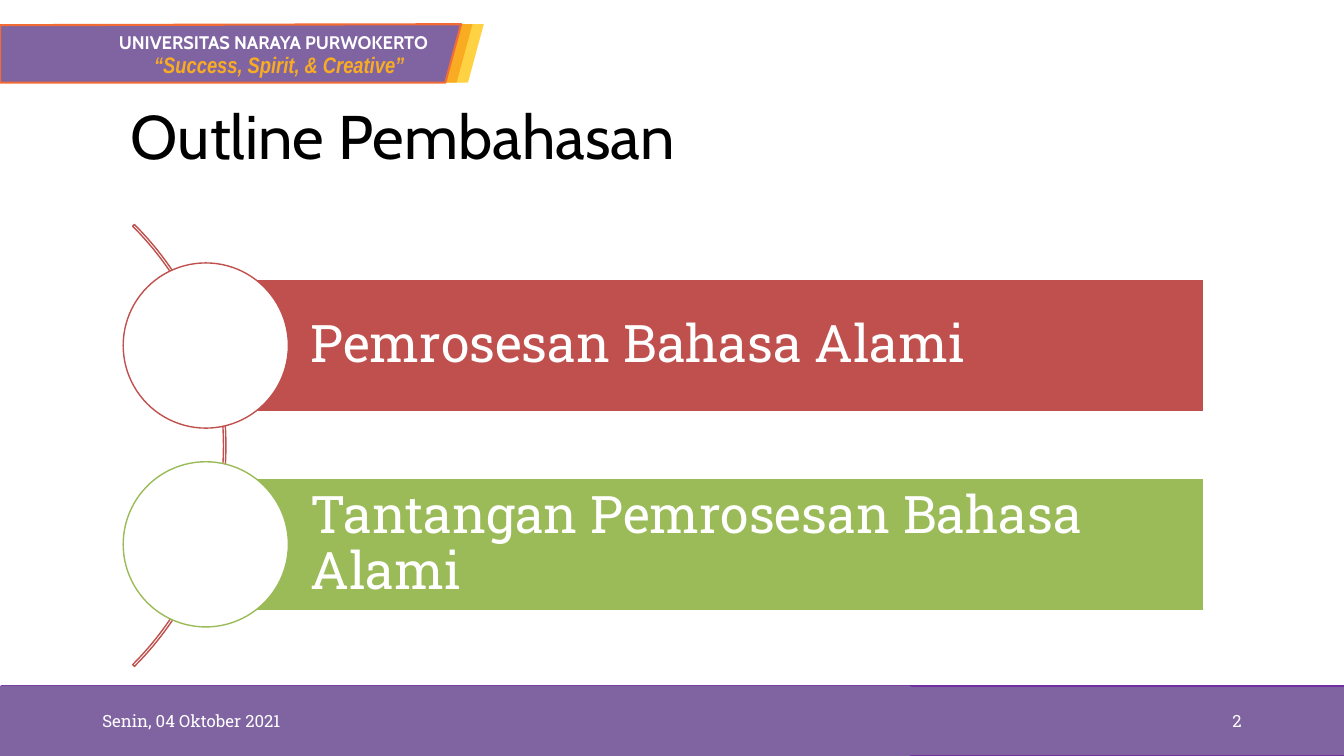
"""Build the outline slide with its ribbon header, arc list and footer."""
from lxml import etree
from pptx import Presentation
from pptx.dml.color import RGBColor
from pptx.enum import shapes, text
from pptx.oxml import ns
from pptx.util import Pt

COLORS = {
    "white": "FFFFFF", "black": "000000", "purple": "8064A2", "violet": "7030A0",
    "yellow": "FFD243", "amber": "F9AC22", "orange": "F26B34",
    "red": "C0504D", "green": "9BBB59",
}
TOPICS = [("Pemrosesan Bahasa Alami", "red"),
          ("Tantangan Pemrosesan Bahasa Alami", "green")]
RIBBONS = [(345.6, "yellow", None), (337.5, "amber", None), (329.4, "purple", "orange")]


def rgb(name):
    """Return the named colour."""
    return RGBColor.from_string(COLORS[name])


def paint(sp, fill=None, line=None, width=1):
    """Set fill and line of a shape and drop its shadow."""
    sp.shadow.inherit = False
    if fill:
        sp.fill.solid()
        sp.fill.fore_color.rgb = rgb(fill)
    else:
        sp.fill.background()
    if line:
        sp.line.color.rgb = rgb(line)
        sp.line.width = Pt(width)
    else:
        sp.line.fill.background()
    return sp


def add_preset(s, kind, box, fill=None, line=None):
    """Add a preset shape at a box given in points."""
    return paint(s.shapes.add_shape(kind, *map(Pt, box)), fill, line)


def add_outline(s, points, fill, line=None):
    """Add a closed polygon through points."""
    start, *rest = [(Pt(x), Pt(y)) for x, y in points]
    builder = s.shapes.build_freeform(*start)
    builder.add_line_segments(rest, close=True)
    return paint(builder.convert_to_shape(), fill, line, 1.5)


def write(sp, words, color, frame=None, para=None, **font):
    """Write one run into a shape with the given formats."""
    tf = sp.text_frame
    p = tf.paragraphs[0]
    r = p.add_run()
    r.text = words
    r.font.color.rgb = rgb(color)
    frame = {"word_wrap": True, **(frame or {})}
    para = {"alignment": text.PP_ALIGN.LEFT, **(para or {})}
    for target, formats in ((tf, frame), (p, para), (r.font, font)):
        for key, value in formats.items():
            setattr(target, key, value)
    return r


def add_label(s, box, words, color, **formats):
    """Add a text box with one run."""
    return write(s.shapes.add_textbox(*map(Pt, box)), words, color, **formats)


def add_text_shadow(r):
    """Give a run a soft dark shadow below it."""
    fill = r.font._element.find(ns.qn("a:solidFill"))
    effects = etree.Element(ns.qn("a:effectLst"))
    shadow = etree.SubElement(effects, ns.qn("a:outerShdw"), blurRad="38100",
                              dist="38100", dir="5400000")
    color = etree.SubElement(shadow, ns.qn("a:srgbClr"), val=COLORS["black"])
    etree.SubElement(color, ns.qn("a:alpha"), val="45000")
    fill.addnext(effects)


def add_header(s):
    """Add the layered ribbon with its name and motto."""
    for right, fill, line in RIBBONS:
        add_outline(s, [(0, 18), (right, 17.3), (right - 11.3, 59), (0, 59)], fill, line)
    r = add_label(s, (77.8, 18.7, 271.4, 23), "UNIVERSITAS NARAYA PURWOKERTO", "white",
                  size=Pt(13), name="Cabin", bold=True)
    add_text_shadow(r)
    add_label(s, (103, 33.1, 195, 26.6), "“Success, Spirit, & Creative”", "amber",
              frame={"word_wrap": False}, size=Pt(16), name="Arial Narrow",
              bold=True, italic=True)


def add_topic(s, top, words, color):
    """Add a topic bar with its circle."""
    bar = add_preset(s, shapes.MSO_SHAPE.RECTANGLE, (147, top + 11.8, 713, 94.4),
                     color, "white")
    frame = {"vertical_anchor": text.MSO_ANCHOR.MIDDLE, "margin_left": Pt(75),
             "margin_right": Pt(7.2), "margin_top": Pt(7.2), "margin_bottom": Pt(7.2)}
    write(bar, words, "white", frame, {"line_spacing": 0.9}, size=Pt(37),
          name="Roboto Slab")
    add_preset(s, shapes.MSO_SHAPE.OVAL, (88, top, 118, 118), "white", color)


def add_footer(s):
    """Add the footer band with date and page number."""
    add_preset(s, shapes.MSO_SHAPE.RECTANGLE, (1.2, 490, 960, 49.5), "purple", "violet")
    add_outline(s, [(0, 489.8), (649, 489.8), (719, 513.5), (649, 540), (0, 540)], "purple")
    for left, words, align in ((66, "Senin, 04 Oktober 2021", text.PP_ALIGN.LEFT),
                               (678, "2", text.PP_ALIGN.RIGHT)):
        add_label(s, (left, 500.6, 216, 28.8), words, "white",
                  frame={"vertical_anchor": text.MSO_ANCHOR.MIDDLE},
                  para={"alignment": align}, size=Pt(12), name="Roboto Slab")


def main():
    """Build and save the slide."""
    prs = Presentation()
    prs.slide_width, prs.slide_height = Pt(960), Pt(540)
    s = prs.slides.add_slide(prs.slide_layouts[6])
    add_header(s)
    add_footer(s)
    add_label(s, (86.4, 51.8, 775.4, 96.5), "Outline Pembahasan", "black",
              frame={"vertical_anchor": text.MSO_ANCHOR.MIDDLE},
              para={"line_spacing": 0.9}, size=Pt(44), name="Cabin")
    arc = add_preset(s, shapes.MSO_SHAPE.BLOCK_ARC, (-285, 95, 446.4, 446.4), line="red")
    for i, value in enumerate((189, 27, 0.004)):
        arc.adjustments[i] = value
    for i, (words, color) in enumerate(TOPICS):
        add_topic(s, 187.8 + 142 * i, words, color)
    prs.save("out.pptx")


if __name__ == "__main__":
    main()
